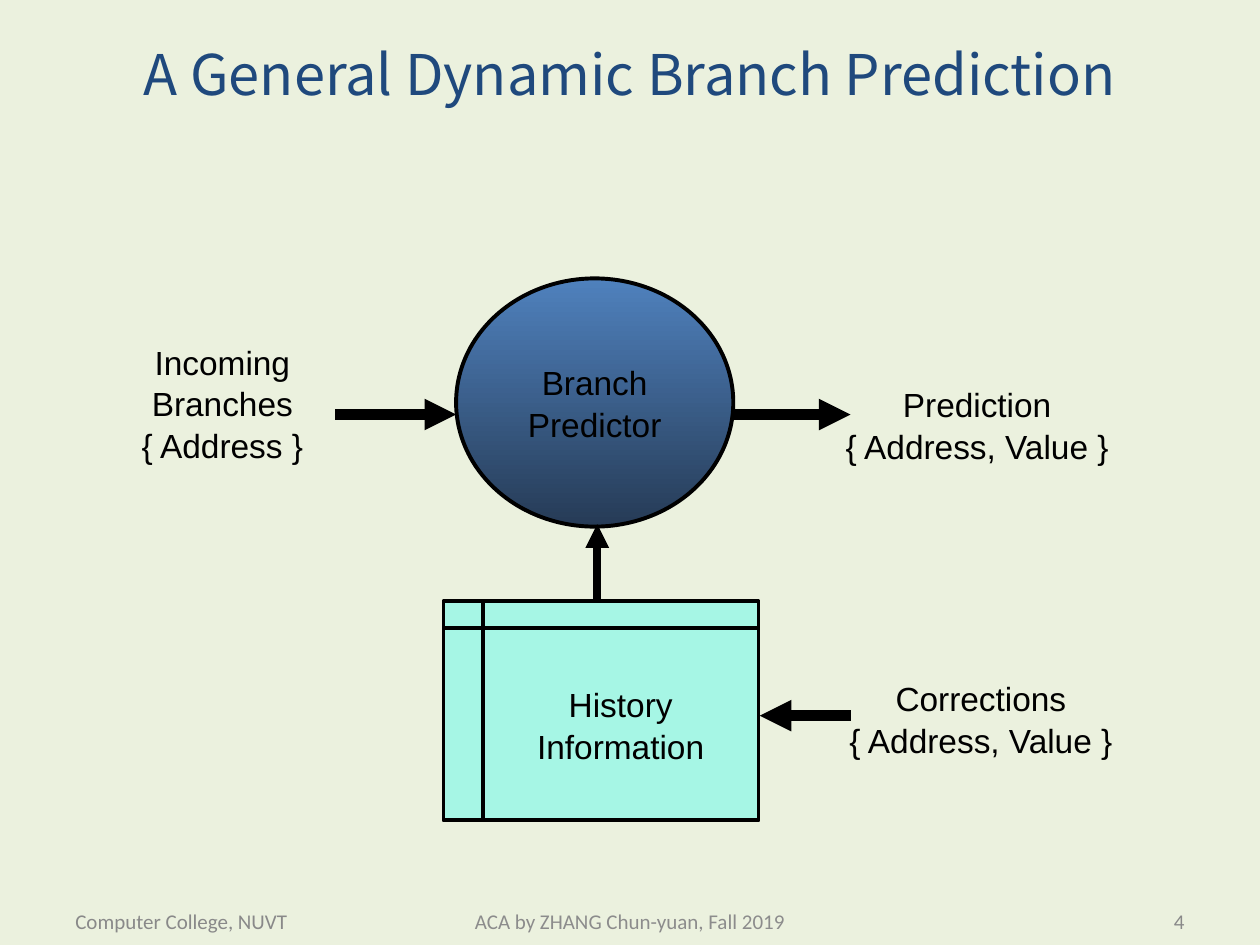
from collections import namedtuple

from lxml import etree
from pptx import Presentation
from pptx.dml.color import RGBColor
from pptx.enum.shapes import MSO_CONNECTOR, MSO_SHAPE
from pptx.enum.text import MSO_ANCHOR, PP_ALIGN
from pptx.oxml.ns import qn
from pptx.util import Inches, Pt

ELLIPSE = MSO_SHAPE.OVAL
STORAGE = MSO_SHAPE.FLOWCHART_INTERNAL_STORAGE
STRAIGHT = MSO_CONNECTOR.STRAIGHT
TOP, MIDDLE = MSO_ANCHOR.TOP, MSO_ANCHOR.MIDDLE
LEFT, CENTER, RIGHT = PP_ALIGN.LEFT, PP_ALIGN.CENTER, PP_ALIGN.RIGHT

COLUMNS, ROWS = 100, 75
CELL = Inches(0.1)
BLACK = "000000"
GREY = "898989"

Box = namedtuple("Box", "left top width height")
LABEL = {"name": "Arial", "size": Pt(19.1)}
HEADING = {"name": "Noto Sans CJK SC", "size": Pt(32)}
SMALL = {"name": "Calibri", "size": Pt(12)}


def color(value):
    return RGBColor.from_string(value)


def cells(count):
    return round(count * CELL)


def within(box, left, top, width, height):
    return Box(box.left + left, box.top + top, width, height)


def write(shape, lines, look, ink=BLACK, align=CENTER, anchor=MIDDLE, wrap=True, spacing=1.0):
    frame = shape.text_frame
    frame.word_wrap = wrap
    frame.vertical_anchor = anchor
    frame.text = "\n".join(lines)
    for paragraph in frame.paragraphs:
        paragraph.alignment = align
        paragraph.line_spacing = spacing
        for attribute, value in look.items():
            setattr(paragraph.font, attribute, value)
        paragraph.font.color.rgb = color(ink)


def add_text(slide, box, lines, look, **layout):
    write(slide.shapes.add_textbox(*map(cells, box)), lines, look, **layout)


def add_node(slide, kind, box, lines, wrap):
    node = slide.shapes.add_shape(kind, *map(cells, box))
    node.shadow.inherit = False
    node.line.color.rgb = color(BLACK)
    node.line.width = Pt(2.25)
    write(node, lines, LABEL, wrap=wrap, spacing=1.04)
    return node


def add_arrow(slide, box, start, end, weight):
    points = [cells(offset + value)
              for point in (start, end)
              for offset, value in zip((box.left, box.top), point)]
    arrow = slide.shapes.add_connector(STRAIGHT, *points)
    arrow.line.color.rgb = color(BLACK)
    arrow.line.width = Pt(weight)
    etree.SubElement(arrow.line._get_or_add_ln(), qn("a:tailEnd"), type="triangle")
    etree.SubElement(arrow._element.spPr, qn("a:effectLst"))


def add_title(slide, box):
    add_text(slide, box, ["A General Dynamic Branch Prediction"], HEADING, ink="1F497D")


def add_diagram(slide, box):
    predictor = add_node(slide, ELLIPSE, within(box, 28.4, 0, 22, 19.7),
                         ["Branch", "Predictor"], wrap=False)
    predictor.fill.gradient()
    predictor.fill.gradient_angle = 270
    for stop, shade in zip(predictor.fill.gradient_stops, ("4F81BD", "263B56")):
        stop.color.rgb = color(shade)

    labels = [
        ((0, 4.4, 19.7, 10.6), ["Incoming Branches", "{ Address }"], True),
        ((58.2, 7.8, 23.1, 7.4), ["Prediction", "{ Address, Value }"], False),
        ((58.5, 31.1, 23.1, 7.4), ["Corrections", "{ Address, Value }"], False),
    ]
    for place, lines, wrap in labels:
        add_text(slide, within(box, *place), lines, LABEL,
                 anchor=TOP, wrap=wrap, spacing=1.04)

    history = add_node(slide, STORAGE, within(box, 27.4, 25.6, 25, 17.4),
                       ["History", "Information"], wrap=True)
    history.fill.solid()
    history.fill.fore_color.rgb = color("A6F6E5")

    arrows = [
        ((18.8, 10.8), (28.4, 10.8), 6),
        ((50.4, 10.8), (59.7, 10.8), 6),
        ((59.7, 34.7), (52.5, 34.7), 6),
        ((39.6, 25.6), (39.6, 19.5), 4.5),
    ]
    for start, end, weight in arrows:
        add_arrow(slide, box, start, end, weight)


def add_footer(slide, box):
    side, middle = 23.3, 31.7
    parts = [
        (0, side, "Computer College, NUVT", LEFT, GREY),
        ((box.width - middle) / 2, middle, "ACA by ZHANG Chun-yuan, Fall 2019", CENTER, "8C8C8C"),
        (box.width - side, side, "4", RIGHT, GREY),
    ]
    for left, width, words, align, ink in parts:
        add_text(slide, within(box, left, 0, width, box.height), [words], SMALL,
                 ink=ink, align=align)


def main():
    deck = Presentation()
    deck.slide_width, deck.slide_height = cells(COLUMNS), cells(ROWS)
    slide = deck.slides.add_slide(deck.slide_layouts[6])
    slide.background.fill.solid()
    slide.background.fill.fore_color.rgb = color("EBF1DE")
    add_title(slide, Box(5, 1.9, 90, 7.8))
    add_diagram(slide, Box(7.8, 22.1, 81.6, 43))
    add_footer(slide, Box(5, 71.1, 90, 4))
    deck.save("out.pptx")


if __name__ == "__main__":
    main()
